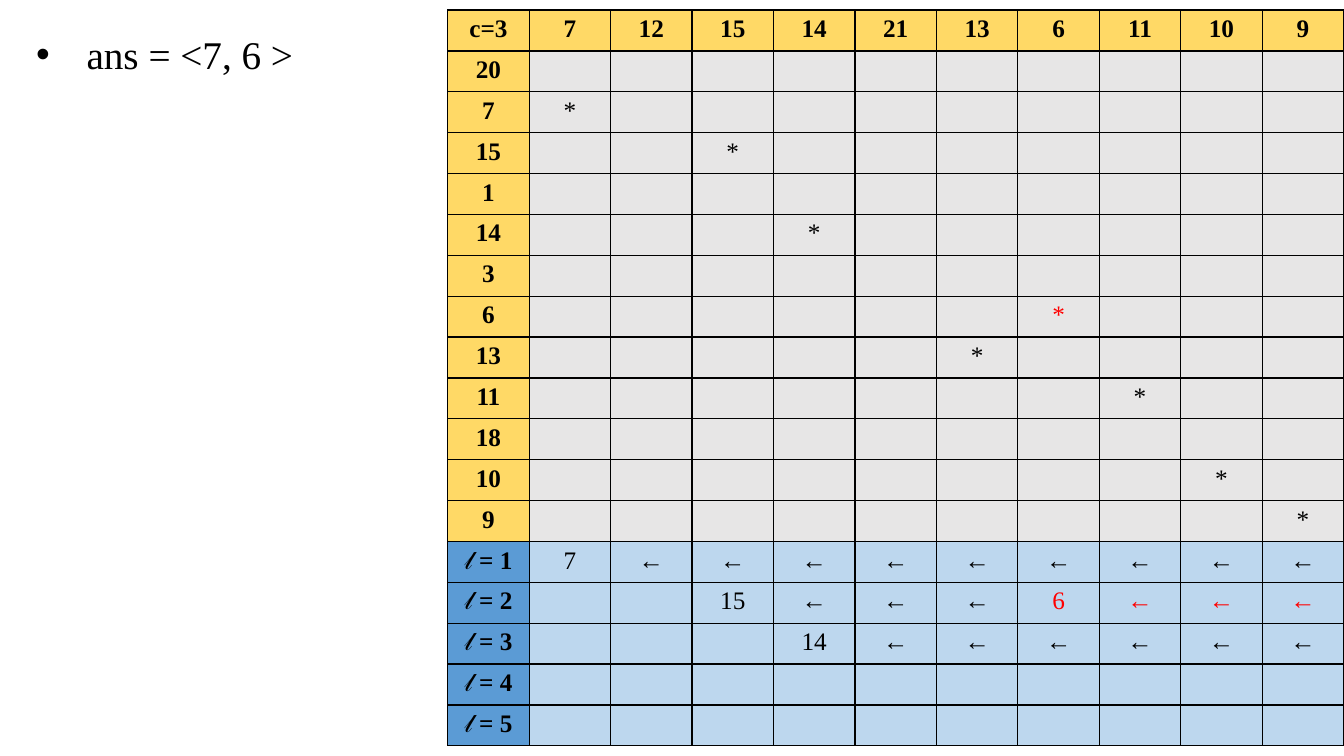
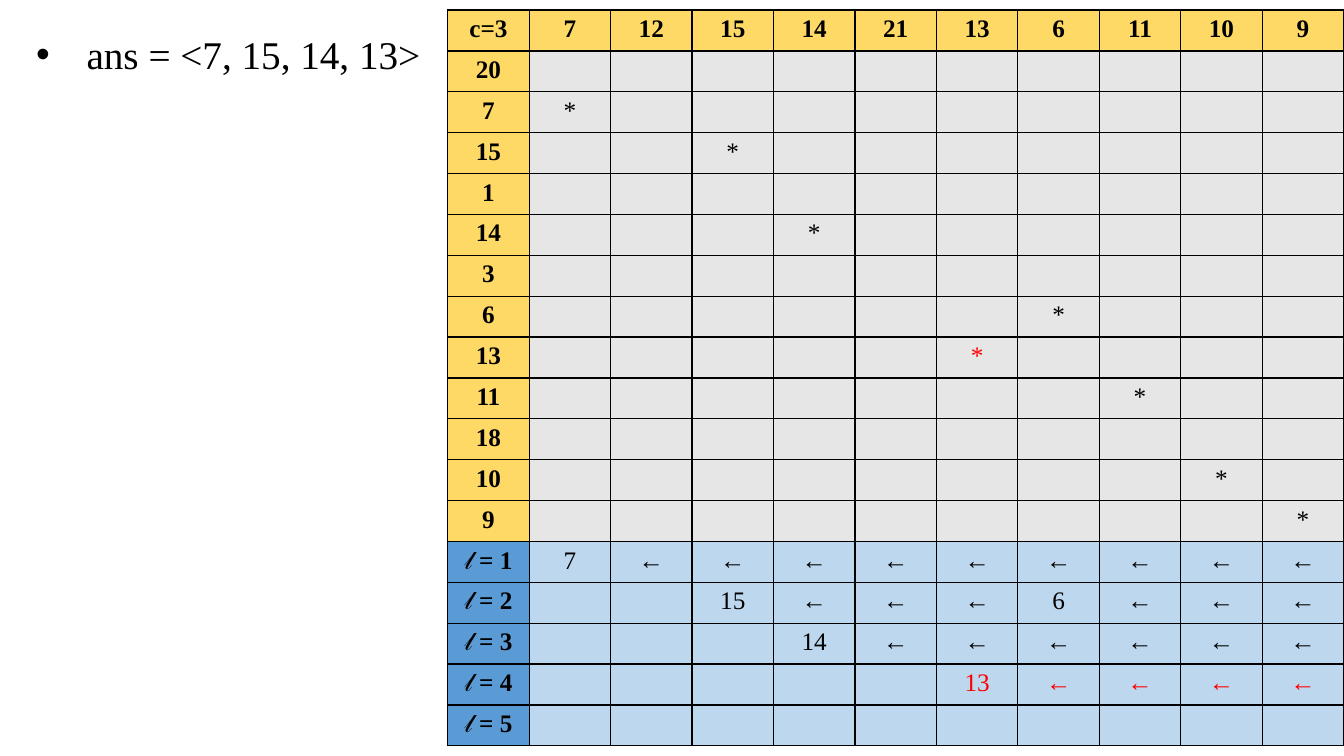
from lxml.etree import SubElement as Sub
from pptx import Presentation
from pptx.dml.color import RGBColor as RGB
from pptx.enum.text import MSO_AUTO_SIZE as Fit, PP_ALIGN as Align
from pptx.oxml.ns import qn
from pptx.util import Inches, Pt

FONT = "Times New Roman"
HEX = {
    "ink": "000000", "hot": "FF0000", "head": "FFD966",
    "grid": "E7E6E6", "level": "5B9BD5", "step": "BDD7EE",
}
TOP = [7, 12, 15, 14, 21, 13, 6, 11, 10, 9]
SIDE = [20, 7, 15, 1, 14, 3, 6, 13, 11, 18, 10, 9]

# Answer, values that start each level, value shown in red
STEPS = [
    ("ans = <7, 6 >", [[7], [15, 6], [14], [], []], 6),
    ("ans = <7, 15, 14, 13>", [[7], [15, 6], [14], [13], []], 13),
]


def color(name):
    return RGB.from_string(HEX[name])


def style(para, size, ink="ink", bold=False):
    font = para.font
    font.name, font.size, font.bold = FONT, Pt(size), bold
    font.color.rgb = color(ink)


def edge(cell):
    """Draw a thin border on all four sides, ahead of the cell's fill."""
    props = cell._tc.get_or_add_tcPr()
    for side in ("lnL", "lnR", "lnT", "lnB"):
        line = Sub(props, qn(f"a:{side}"), w=str(Pt(1)))
        fill = Sub(line, qn("a:solidFill"))
        Sub(fill, qn("a:srgbClr"), val=HEX["ink"])


def put(cell, text, fill, ink="ink", bold=False):
    edge(cell)
    cell.fill.solid()
    cell.fill.fore_color.rgb = color(fill)
    para = cell.text_frame.paragraphs[0]
    para.text = text
    para.alignment = Align.CENTER
    style(para, 18, ink, bold)


def match(label, hot):
    """Star the column whose heading equals the row label."""
    ink = "hot" if label == hot else "ink"
    return [("*" if top == label else "", ink) for top in TOP]


def trace(starts, hot):
    """Show each start value, with arrows back to it in later columns."""
    row, text, ink = [], "", "ink"
    for top in TOP:
        if top in starts:
            text, ink = str(top), "hot" if top == hot else "ink"
        row.append((text, ink))
        text = text and "←"
    return row


def table(slide, levels, hot, left, top, width, height):
    rows = [("c=3", "head", "head", [(str(n), "ink") for n in TOP])]
    rows += [(str(n), "head", "grid", match(n, hot)) for n in SIDE]
    rows += [(f"𝓁 = {i}", "level", "step", trace(starts, hot))
             for i, starts in enumerate(levels, 1)]
    cols = len(TOP) + 1
    grid = slide.shapes.add_table(
        len(rows), cols, Inches(left), Inches(top),
        Inches(width), Inches(height)).table
    grid.first_row = grid.horz_banding = False
    for col in grid.columns:
        col.width = Inches(width / cols)
    for r, (label, tint, fill, cells) in enumerate(rows):
        grid.rows[r].height = Inches(height / len(rows))
        put(grid.cell(r, 0), label, tint, bold=True)
        for c, (text, ink) in enumerate(cells, 1):
            put(grid.cell(r, c), text, fill, ink, bold=r == 0)


def answer(slide, text, left, top, width, height):
    box = slide.shapes.add_textbox(
        Inches(left), Inches(top), Inches(width), Inches(height))
    frame = box.text_frame
    frame.word_wrap = True
    frame.auto_size = Fit.SHAPE_TO_FIT_TEXT
    para = frame.paragraphs[0]
    para.text = text
    props = para._p.get_or_add_pPr()
    props.set("marL", str(Inches(0.5)))
    props.set("indent", str(Inches(-0.5)))
    Sub(props, qn("a:buFont"), typeface="Arial")
    Sub(props, qn("a:buChar"), char="•")
    style(para, 28)


def main():
    deck = Presentation()
    deck.slide_width, deck.slide_height = Inches(13.33), Inches(7.5)
    for text, levels, hot in STEPS:
        slide = deck.slides.add_slide(deck.slide_layouts[6])
        table(slide, levels, hot, 4.44, 0.1, 8.89, 7.3)
        answer(slide, text, 0.26, 0.25, 4.19, 1.04)
    deck.save("out.pptx")


if __name__ == "__main__":
    main()
